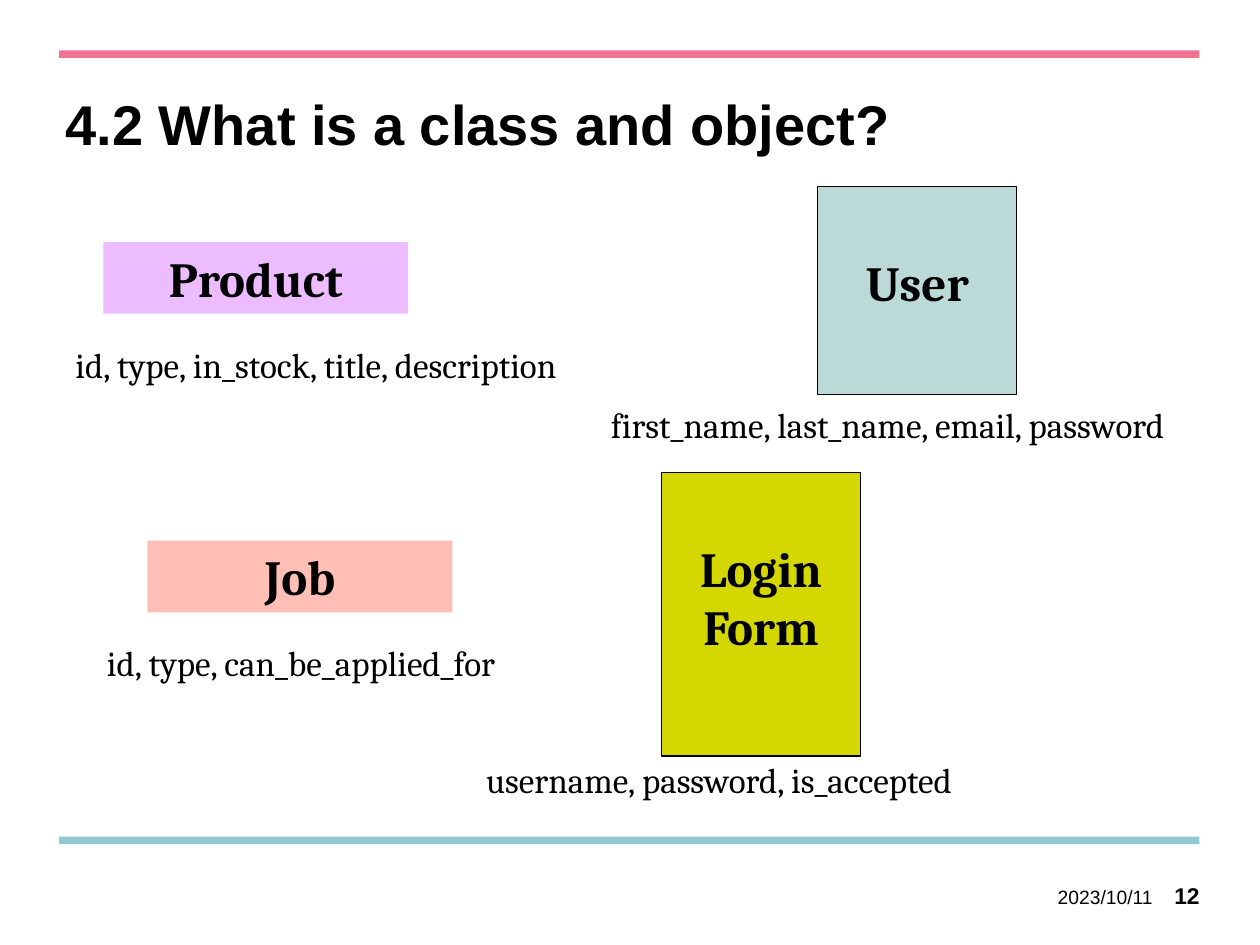
import pptx
import pptx.util
import pptx.dml.color
import pptx.enum.shapes
import pptx.enum.text

Inches = pptx.util.Inches
Pt = pptx.util.Pt
RGBColor = pptx.dml.color.RGBColor
Align = pptx.enum.text.PP_ALIGN
Anchor = pptx.enum.text.MSO_ANCHOR

BLACK = RGBColor(0x00, 0x00, 0x00)
PINK = RGBColor(0xF1, 0x73, 0x91)
BLUE = RGBColor(0x92, 0xC9, 0xD7)
LILAC = RGBColor(0xED, 0xBC, 0xFF)
CORAL = RGBColor(0xFF, 0xBF, 0xB6)
LIME = RGBColor(0xD4, 0xD8, 0x00)
TEAL = RGBColor(0xBB, 0xD9, 0xD7)


def write(frame, text, size, face="Cambria", bold=False, align=Align.LEFT):
    """Fill a text frame with one styled paragraph and return it."""
    frame.word_wrap = True
    frame.vertical_anchor = Anchor.TOP
    para = frame.paragraphs[0]
    para.text = text
    para.alignment = align
    para.font.name = face
    para.font.size = Pt(size)
    para.font.bold = bold
    para.font.color.rgb = BLACK
    return para


def block(slide, box, fill):
    """Add a flat rectangle without a border."""
    kind = pptx.enum.shapes.MSO_SHAPE.RECTANGLE
    shape = slide.shapes.add_shape(kind, *map(Inches, box))
    shape.shadow.inherit = False
    shape.fill.solid()
    shape.fill.fore_color.rgb = fill
    shape.line.fill.background()
    return shape


def label(slide, box, text, size, **style):
    """Add a text box and return its frame."""
    frame = slide.shapes.add_textbox(*map(Inches, box)).text_frame
    write(frame, text, size, **style)
    return frame


def header(slide, box, text):
    """Place the top rule and the title below it."""
    left, top, width, height = box
    block(slide, (left, top, width, 0.06), PINK)
    title = slide.shapes.title
    title.left, title.top = Inches(left - 0.05), Inches(top + 0.32)
    title.width, title.height = Inches(width - 0.31), Inches(height - 0.32)
    para = write(title.text_frame, text, 32, face="Arial", bold=True)
    para.line_spacing = Pt(34)


def footer(slide, box, date, page):
    """Place the bottom rule, the date and the page number."""
    left, top, width, height = box
    block(slide, (left, top, width, 0.06), BLUE)
    right, low = left + width, top + height - 0.27
    parts = (
        (right - 1.33, 0.96, date, 11, False, Anchor.MIDDLE, 0),
        (right - 0.39, 0.39, page, 13, True, Anchor.TOP, 0.02),
    )
    for side, wide, text, size, bold, anchor, inset in parts:
        frame = label(slide, (side, low, wide, 0.27), text, size,
                      face="Arial", bold=bold, align=Align.RIGHT)
        frame.vertical_anchor = anchor
        frame.margin_left = frame.margin_right = frame.margin_bottom = 0
        frame.margin_top = Inches(inset)


def entity(slide, box, name, fill, fields, shift, wide, gap, framed=False):
    """Place a named class block with its list of fields below."""
    left, top, width, height = box
    shape = block(slide, box, fill)
    write(shape.text_frame, name, 28, bold=True, align=Align.CENTER)
    if framed:
        shape.line.color.rgb = BLACK
        shape.line.width = Pt(0.75)
        shape.text_frame.margin_top = Inches(0.52)
    place = (left + shift, top + height + gap, wide, 0.44)
    label(slide, place, fields, 20)


def main():
    """Build and save the slide."""
    deck = pptx.Presentation()
    deck.slide_width, deck.slide_height = Inches(10), Inches(7.5)
    slide = deck.slides.add_slide(deck.slide_layouts[5])
    header(slide, (0.47, 0.4, 9.05, 1.42), "4.2 What is a class and object?")
    footer(slide, (0.47, 6.64, 9.05, 0.61), "2023/10/11", "12")
    entity(slide, (0.82, 1.92, 2.42, 0.57), "Product", LILAC,
           "id, type, in_stock, title, description", -0.32, 6, 0.19)
    entity(slide, (1.17, 4.29, 2.42, 0.57), "Job", CORAL,
           "id, type, can_be_applied_for", -0.42, 4, 0.18)
    entity(slide, (5.25, 3.75, 1.58, 2.25), "Login Form", LIME,
           "username, password, is_accepted", -1.49, 4.43, -0.03, True)
    entity(slide, (6.49, 1.48, 1.58, 1.65), "User", TEAL,
           "first_name, last_name, email, password", -1.74, 5.25, 0.02, True)
    deck.save("out.pptx")


if __name__ == "__main__":
    main()
